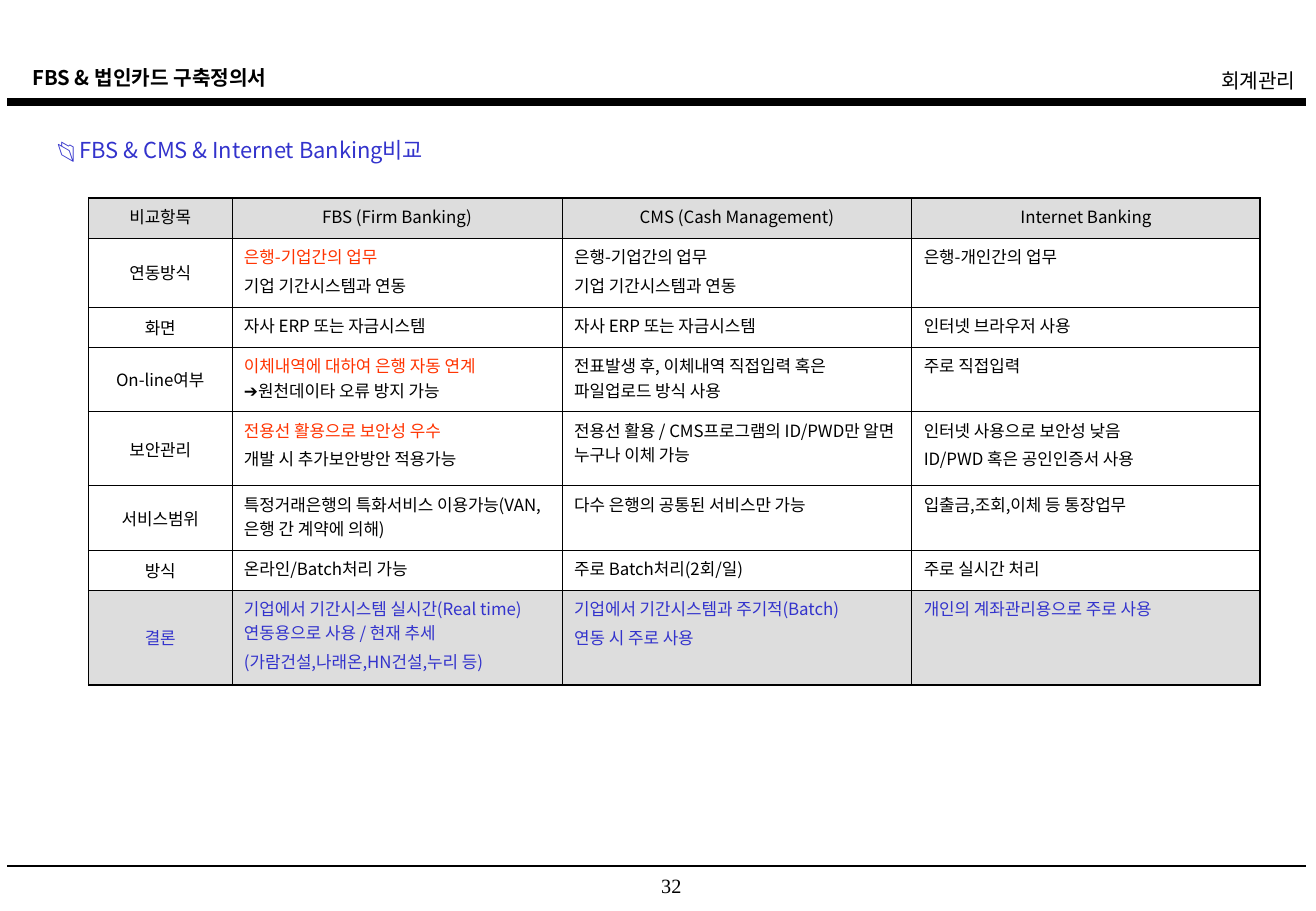
from dataclasses import dataclass

from lxml.etree import SubElement
from pptx import Presentation
from pptx.dml.color import RGBColor
from pptx.enum.shapes import MSO_CONNECTOR
from pptx.enum.text import MSO_ANCHOR as ANCHOR, PP_ALIGN as ALIGN
from pptx.oxml import parse_xml
from pptx.oxml.ns import nsdecls, qn
from pptx.util import Pt

PX = 9144  # 100 px to the inch


@dataclass(frozen=True)
class Theme:
    black: str = "000000"
    red: str = "FF3300"
    blue: str = "3333CC"
    gray: str = "DDDDDD"
    font: str = "Noto Sans CJK KR"
    symbol_font: str = "Arial"
    number_font: str = "Times New Roman"
    cell_size: int = 10
    header_size: int = 12
    title_size: int = 13
    cell_gap: float = 2.5
    inner_line: float = 0.45
    outer_line: float = 1.08


THEME = Theme()


def px(*lengths):
    return [n * PX for n in lengths]


def hot(text):
    return text, {"color": THEME.red}


def symbol(text):
    return text, {"font": THEME.symbol_font}


def add_run(p, text, size, color=THEME.black, font=THEME.font, bold=False):
    """Add text to a paragraph, with a line break at each newline."""
    for i, line in enumerate(text.split("\n")):
        if i:
            p.add_line_break()
        if not line:
            continue
        r = p.add_run()
        r.text = line
        r.font.size, r.font.bold, r.font.name = Pt(size), bold, font
        r.font.color.rgb = RGBColor.from_string(color)
        SubElement(r.font._element, qn("a:ea")).set("typeface", font)


def write(tf, paragraphs, align=ALIGN.LEFT, before=0, **style):
    """Fill a text frame; a paragraph is a string or a list of strings and (text, style) runs."""
    for i, runs in enumerate(paragraphs):
        p = tf.add_paragraph() if i else tf.paragraphs[0]
        p.alignment, p.space_before = align, Pt(before)
        for run in [runs] if isinstance(runs, str) else runs:
            text, own = (run, {}) if isinstance(run, str) else run
            add_run(p, text, **{**style, **own})


def set_borders(cell, widths):
    """Draw the left, right, top and bottom lines of a cell, in that order."""
    tc_pr = cell._tc.get_or_add_tcPr()
    for i, (side, width) in enumerate(zip("LRTB", widths)):
        tc_pr.insert(i, parse_xml(
            f'<a:ln{side} {nsdecls("a")} w="{int(Pt(width))}"><a:solidFill>'
            f'<a:srgbClr val="{THEME.black}"/></a:solidFill></a:ln{side}>'))


class SlideBuilder:
    def __init__(self, slide, theme):
        self.slide, self.theme = slide, theme

    def title(self, box, runs):
        sp = self.slide.shapes.title
        sp.left, sp.top, sp.width, sp.height = px(*box)
        tf = sp.text_frame
        tf.word_wrap, tf.vertical_anchor = True, ANCHOR.TOP
        write(tf, [runs], size=self.theme.title_size, color=self.theme.blue)

    def text(self, box, text, **style):
        tf = self.slide.shapes.add_textbox(*px(*box)).text_frame
        tf.word_wrap = True
        write(tf, [text], size=self.theme.header_size, **style)

    def rule(self, y, weight):
        ends = px(6, y, 1076, y)
        line = self.slide.shapes.add_connector(MSO_CONNECTOR.STRAIGHT, *ends)
        line.line.color.rgb = RGBColor.from_string(self.theme.black)
        line.line.width = Pt(weight)
        SubElement(line._element.spPr, qn("a:effectLst"))

    def table(self, left, top, widths, heights, rows):
        box = px(left, top, sum(widths), sum(heights))
        table = self.slide.shapes.add_table(len(rows), len(widths), *box).table
        table.first_row = table.horz_banding = False
        for column, width in zip(table.columns, px(*widths)):
            column.width = width
        for row, height in zip(table.rows, px(*heights)):
            row.height = height
        last_row, last_col = len(rows) - 1, len(widths) - 1
        for i, row in enumerate(rows):
            for j, paragraphs in enumerate(row):
                edges = (j == 0, j == last_col, i == 0, i == last_row)
                self.cell(table.cell(i, j), paragraphs, edges)

    def cell(self, cell, paragraphs, edges):
        """Fill a cell; edges tells which sides lie on the outline of the table."""
        t = self.theme
        first_col, _, head, conclusion = edges
        if head or conclusion:
            cell.fill.solid()
            cell.fill.fore_color.rgb = RGBColor.from_string(t.gray)
        else:
            cell.fill.background()
        set_borders(cell, [t.outer_line if e else t.inner_line for e in edges])
        if first_col and not head:
            cell.vertical_anchor = ANCHOR.MIDDLE
        write(cell.text_frame, paragraphs, size=t.cell_size, before=t.cell_gap,
              align=ALIGN.CENTER if head or first_col else ALIGN.LEFT,
              color=t.blue if conclusion else t.black)


COMPARISON = [
    [["비교항목"], ["FBS (Firm Banking)"], ["CMS (Cash Management)"],
     ["Internet Banking"]],
    [["연동방식"],
     [[hot("은행-기업간의 업무")], "기업 기간시스템과 연동"],
     ["은행-기업간의 업무", "기업 기간시스템과 연동"],
     ["은행-개인간의 업무"]],
    [["화면"], ["자사 ERP 또는 자금시스템"], ["자사 ERP 또는 자금시스템"],
     ["인터넷 브라우저 사용"]],
    [["On-line여부"],
     [[hot("이체내역에 대하여 은행 자동 연계\n"), symbol("➔"),
       "원천데이타 오류 방지 가능"]],
     ["전표발생 후, 이체내역 직접입력 혹은 파일업로드 방식 사용"],
     ["주로 직접입력"]],
    [["보안관리"],
     [[hot("전용선 활용으로 보안성 우수")], "개발 시 추가보안방안 적용가능"],
     ["전용선 활용 / CMS프로그램의 ID/PWD만 알면 누구나 이체 가능"],
     ["인터넷 사용으로 보안성 낮음", "ID/PWD 혹은 공인인증서 사용"]],
    [["서비스범위"],
     ["특정거래은행의 특화서비스 이용가능(VAN,은행 간 계약에 의해)"],
     ["다수 은행의 공통된 서비스만 가능"],
     ["입출금,조회,이체 등 통장업무"]],
    [["방식"], ["온라인/Batch처리 가능"], ["주로 Batch처리(2회/일)"],
     ["주로 실시간 처리"]],
    [["결론"],
     ["기업에서 기간시스템 실시간(Real time) 연동용으로 사용 / 현재 추세",
      "(가람건설,나래온,HN건설,누리 등)"],
     ["기업에서 기간시스템과 주기적(Batch)", "연동 시 주로 사용"],
     ["개인의 계좌관리용으로 주로 사용"]],
]


def main():
    prs = Presentation()
    prs.slide_width, prs.slide_height = px(1084, 750)
    title_only = prs.slide_layouts[5]
    page = SlideBuilder(prs.slides.add_slide(title_only), THEME)

    page.text((17, 49, 435, 30), "FBS & 법인카드 구축정의서", bold=True)
    page.rule(84, 4.5)
    page.rule(713, 1)
    page.text((608, 51, 469, 30), "회계관리", align=ALIGN.RIGHT)
    page.table(73, 163, widths=[118, 272, 288, 287],
               heights=[33, 57, 33, 53, 61, 53, 33, 78], rows=COMPARISON)
    page.title((37, 107, 345, 32),
               [symbol("📂"), " FBS & CMS & Internet Banking비교"])
    page.text((514, 714, 78, 27), "32", align=ALIGN.CENTER,
              font=THEME.number_font)
    prs.save("out.pptx")


if __name__ == "__main__":
    main()
